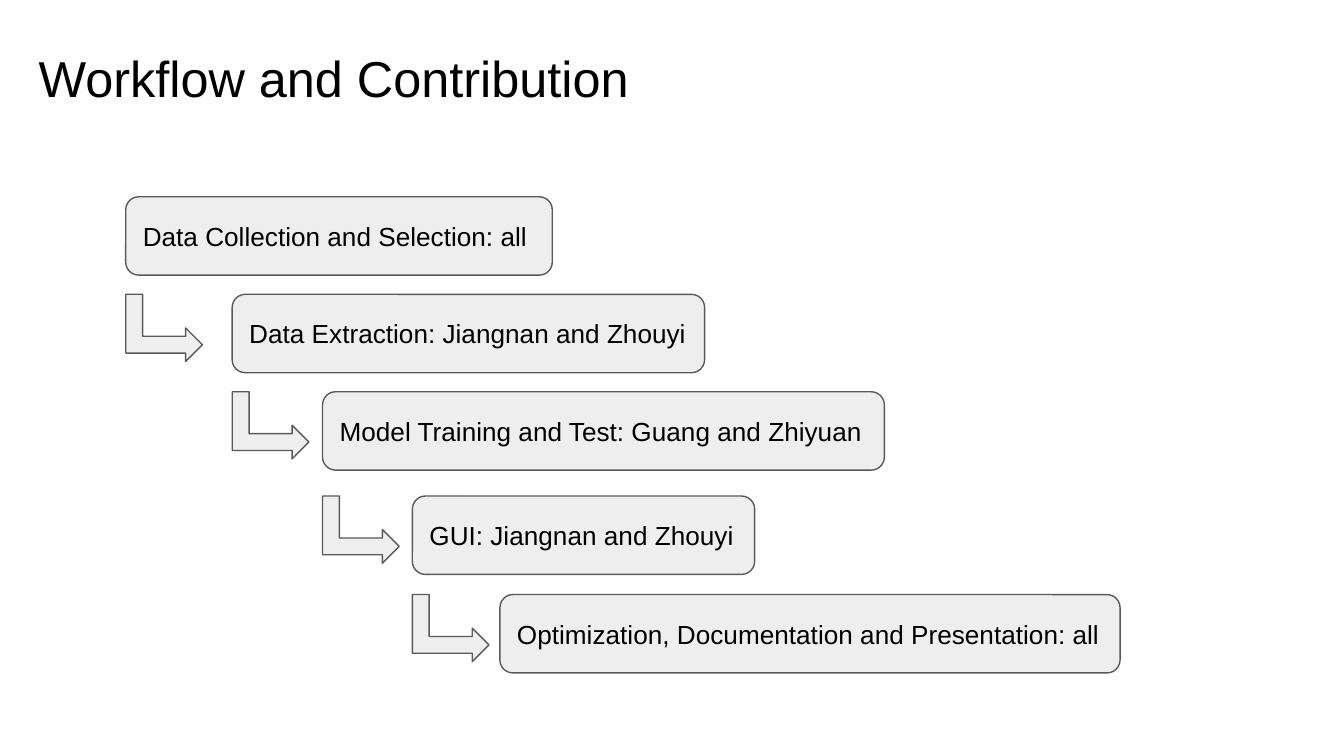
from dataclasses import dataclass

from pptx import Presentation
from pptx.dml.color import RGBColor
from pptx.enum.shapes import MSO_SHAPE as Shape
from pptx.enum.text import MSO_ANCHOR as Anchor, MSO_AUTO_SIZE as AutoSize, PP_ALIGN as Align
from pptx.util import Inches, Pt


@dataclass(frozen=True)
class Theme:
    font: str = "Arial"
    ink: str = "000000"
    panel: str = "EEEEEE"
    outline: str = "595959"
    title_size: int = 27
    step_size: int = 14
    outline_width: float = 0.75


THEME = Theme()
GRID_COLUMNS, GRID_ROWS = 100, 56.25
CELL = Inches(10) // GRID_COLUMNS
STEP_HEIGHT = 5.83
ARROW_WIDTH, ARROW_HEIGHT = 5, 5.7
STEPS = [
    ("Data Collection and Selection: all", 9.36, 14.64, 31.74),
    ("Data Extraction: Jiangnan and Zhouyi", 17.28, 21.9, 35.15),
    ("Model Training and Test: Guang and Zhiyuan", 24, 29.15, 41.8),
    ("GUI: Jiangnan and Zhouyi", 30.68, 36.91, 25.47),
    ("Optimization, Documentation and Presentation: all", 37.2, 44.24, 46.14),
]


def on_grid(*cells):
    return [round(cell * CELL) for cell in cells]


def apply_format(target, values):
    for attribute, value in values.items():
        setattr(target, attribute, value)


def write_text(holder, wording, size, anchor, align):
    frame = holder.text_frame
    frame.text = wording
    margins = {f"margin_{side}": CELL for side in ("left", "top", "right", "bottom")}
    apply_format(frame, {
        **margins, "word_wrap": True,
        "auto_size": AutoSize.NONE, "vertical_anchor": anchor,
    })
    paragraph = frame.paragraphs[0]
    paragraph.alignment = align
    font = paragraph.runs[0].font
    apply_format(font, {"name": THEME.font, "size": Pt(size)})
    font.color.rgb = RGBColor.from_string(THEME.ink)


def add_title(slide, wording):
    title = slide.shapes.title
    left, top, width, height = on_grid(1.54, 2.5, 46.6, 6.6)
    apply_format(title, {"left": left, "top": top, "width": width, "height": height})
    write_text(title, wording, THEME.title_size, Anchor.TOP, Align.CENTER)


def add_panel(slide, kind, *cells):
    panel = slide.shapes.add_shape(kind, *on_grid(*cells))
    panel.shadow.inherit = False
    panel.fill.solid()
    panel.fill.fore_color.rgb = RGBColor.from_string(THEME.panel)
    panel.line.color.rgb = RGBColor.from_string(THEME.outline)
    panel.line.width = Pt(THEME.outline_width)
    return panel


def add_step(slide, wording, column, row, width):
    step = add_panel(slide, Shape.ROUNDED_RECTANGLE, column, row, width, STEP_HEIGHT)
    write_text(step, wording, THEME.step_size, Anchor.MIDDLE, Align.LEFT)


def add_turn(slide, column, row):
    shift = (ARROW_HEIGHT - ARROW_WIDTH) / 2
    turn = add_panel(slide, Shape.BENT_UP_ARROW,
                     column + shift, row - shift, ARROW_WIDTH, ARROW_HEIGHT)
    turn.rotation = 90


def main():
    deck = Presentation()
    width, height = on_grid(GRID_COLUMNS, GRID_ROWS)
    apply_format(deck, {"slide_width": width, "slide_height": height})
    slide = deck.slides.add_slide(deck.slide_layouts[5])
    add_title(slide, "Workflow and Contribution")
    for step in STEPS:
        add_step(slide, *step)
    for (_, column, _, _), (_, _, row, _) in zip(STEPS, STEPS[1:]):
        add_turn(slide, column, row)
    deck.save("out.pptx")


if __name__ == "__main__":
    main()
